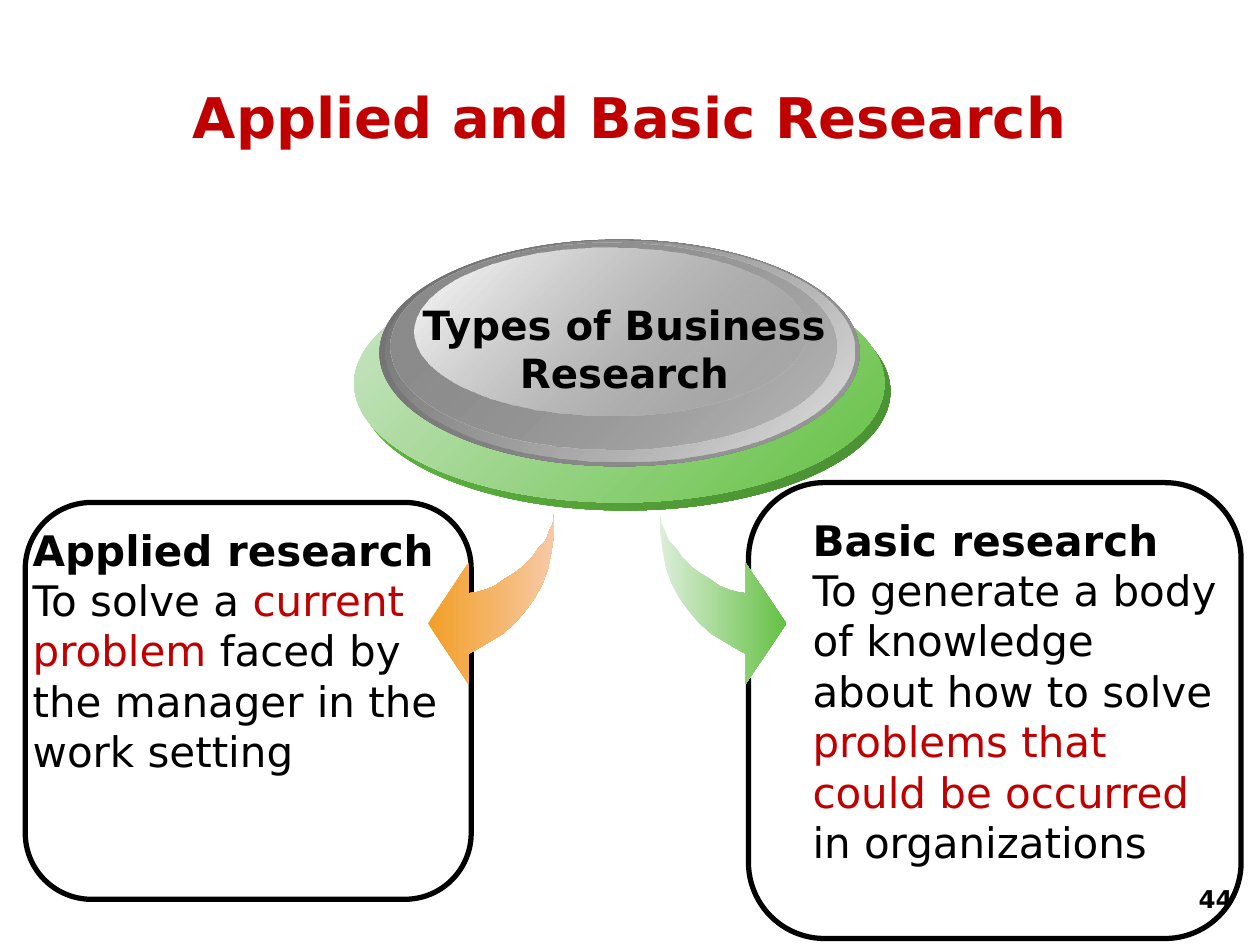
from typing import NamedTuple

from lxml import etree
from pptx import Presentation
from pptx.dml.color import RGBColor
from pptx.enum.shapes import MSO_SHAPE
from pptx.enum.text import MSO_ANCHOR, PP_ALIGN
from pptx.oxml.ns import qn
from pptx.util import Cm, Pt

ELLIPSE = MSO_SHAPE.OVAL
ROUNDED = MSO_SHAPE.ROUNDED_RECTANGLE
LEFT, CENTER, RIGHT = PP_ALIGN.LEFT, PP_ALIGN.CENTER, PP_ALIGN.RIGHT
TOP, MIDDLE = MSO_ANCHOR.TOP, MSO_ANCHOR.MIDDLE

FONT = "DejaVu Sans"
COLORS = {
    "black": "000000", "red": "C00000", "white": "FFFFFF",
    "orange": "F29F26", "peach": "F7C9A6",
    "green": "64C143", "dark green": "498D31",
    "pale green": "CDE6C9", "mist green": "DDEEDA",
    "dark gray": "6E6E6E", "mid gray": "8B8B8B",
    "gray": "9A9A9A", "light gray": "E2E2E2",
}


class Area(NamedTuple):
    """Left, top, width and height in centimetres."""
    left: float
    top: float
    width: float
    height: float


class Stop(NamedTuple):
    color: str
    opacity: int = 100


class Disc(NamedTuple):
    area: Area
    start: Stop
    end: Stop


class Words(NamedTuple):
    text: str
    color: str = "black"
    bold: bool = False


class TextBlock(NamedTuple):
    area: Area
    size: int
    paragraphs: list[list[Words]]
    align: PP_ALIGN = LEFT
    anchor: MSO_ANCHOR = TOP


FRAMES = [Area(15.09, 9.73, 9.93, 9.19), Area(0.51, 10.13, 8.99, 8)]

DISCS = [
    Disc(Area(7.26, 5.49, 10.69, 4.8), Stop("green"), Stop("dark green")),
    Disc(Area(7.14, 5.33, 10.69, 4.8), Stop("pale green"), Stop("green")),
    Disc(Area(7.65, 4.83, 9.68, 4.57), Stop("dark gray"), Stop("gray")),
    Disc(Area(7.77, 4.85, 9.45, 4.45), Stop("gray", 0), Stop("light gray")),
    Disc(Area(7.87, 4.9, 8.99, 4.17), Stop("mid gray"), Stop("gray", 48)),
    Disc(Area(8.36, 5, 7.9, 3.38), Stop("white"), Stop("gray", 38)),
]

# Arrow outline: distance from the mirror axis, distance from the slide top
ARROW_AXIS = 12.24
ARROW_OUTLINE = [
    (1.07, 10.36), (1.07, 10.74), (1.12, 11.1), (1.19, 11.46), (1.3, 11.76),
    (1.45, 12.04), (1.63, 12.29), (1.85, 12.55), (2.11, 12.78), (2.44, 12.98),
    (2.79, 13.18), (2.79, 13.79), (3.61, 12.57), (2.79, 11.35), (2.79, 11.96),
    (2.64, 11.94), (2.46, 11.89), (2.26, 11.81), (2.08, 11.68), (1.88, 11.56),
    (1.7, 11.43), (1.52, 11.25), (1.4, 11.07), (1.24, 10.9), (1.17, 10.72),
    (1.09, 10.54),
]

APPLIED = TextBlock(Area(0.41, 10.44, 8.76, 5.38), 24, [
    [Words("Applied research", bold=True)],
    [Words("To solve a "), Words("current problem ", "red"),
     Words("faced by the manager in the work setting")],
])
BASIC = TextBlock(Area(16.13, 10.24, 8.79, 8.46), 24, [
    [Words("Basic research", bold=True)],
    [Words("To generate a body of knowledge about how to solve "),
     Words("problems that could be occurred ", "red"),
     Words("in organizations")],
])
TOPIC = TextBlock(Area(7.42, 5.92, 10.34, 2.31), 23,
                  [[Words("Types of Business Research", bold=True)]], CENTER)
PAGE_NUMBER = TextBlock(Area(19.18, 17.7, 5.92, 1.02), 14,
                        [[Words("44", bold=True)]], RIGHT)
TITLE = TextBlock(Area(1.27, 0.76, 22.86, 3.18), 32,
                  [[Words("Applied and Basic Research", "red", True)]],
                  CENTER, MIDDLE)


def rgb(name: str) -> RGBColor:
    return RGBColor.from_string(COLORS[name])


def lengths(area: Area) -> list[Cm]:
    return [Cm(value) for value in area]


def fill_gradient(shape, start: Stop, end: Stop, angle: int) -> None:
    """Fill without outline; the angle runs counter-clockwise."""
    shape.shadow.inherit = False
    shape.line.fill.background()
    shape.fill.gradient()
    shape.fill.gradient_angle = angle
    for gradient_stop, stop in zip(shape.fill.gradient_stops, (start, end)):
        gradient_stop.color.rgb = rgb(stop.color)
    color_elements = shape.element.spPr.iter(qn("a:srgbClr"))
    for element, stop in zip(list(color_elements), (start, end)):
        if stop.opacity < 100:
            alpha = etree.SubElement(element, qn("a:alpha"))
            alpha.set("val", str(stop.opacity * 1000))


def draw_frame(slide, area: Area) -> None:
    frame = slide.shapes.add_shape(ROUNDED, *lengths(area))
    frame.shadow.inherit = False
    frame.fill.background()
    frame.line.color.rgb = rgb("black")
    frame.line.width = Pt(3)


def draw_disc(slide, disc: Disc) -> None:
    ellipse = slide.shapes.add_shape(ELLIPSE, *lengths(disc.area))
    fill_gradient(ellipse, disc.start, disc.end, 315)


def draw_arrow(slide, side: int, start: Stop, end: Stop) -> None:
    """Draw the curved arrow left (-1) or right (1) of the axis."""
    points = [(Cm(ARROW_AXIS + side * x), Cm(y)) for x, y in ARROW_OUTLINE]
    builder = slide.shapes.build_freeform(*points[0])
    builder.add_line_segments(points[1:], close=True)
    fill_gradient(builder.convert_to_shape(), start, end, 0)


def draw_text(slide, block: TextBlock) -> None:
    frame = slide.shapes.add_textbox(*lengths(block.area)).text_frame
    frame.word_wrap = True
    frame.vertical_anchor = block.anchor
    for index, content in enumerate(block.paragraphs):
        paragraph = frame.add_paragraph() if index else frame.paragraphs[0]
        paragraph.alignment = block.align
        for words in content:
            run = paragraph.add_run()
            run.text = words.text
            run.font.name = FONT
            run.font.size = Pt(block.size)
            run.font.bold = words.bold
            run.font.color.rgb = rgb(words.color)


def main() -> None:
    presentation = Presentation()
    presentation.slide_width = Cm(25.4)
    presentation.slide_height = Cm(19.05)
    slide = presentation.slides.add_slide(presentation.slide_layouts[6])

    for area in FRAMES:
        draw_frame(slide, area)
    draw_text(slide, APPLIED)
    draw_arrow(slide, -1, Stop("orange"), Stop("peach"))
    draw_arrow(slide, 1, Stop("mist green"), Stop("green"))
    for disc in DISCS:
        draw_disc(slide, disc)
    for block in (TOPIC, BASIC, PAGE_NUMBER, TITLE):
        draw_text(slide, block)

    presentation.save("out.pptx")


if __name__ == "__main__":
    main()
